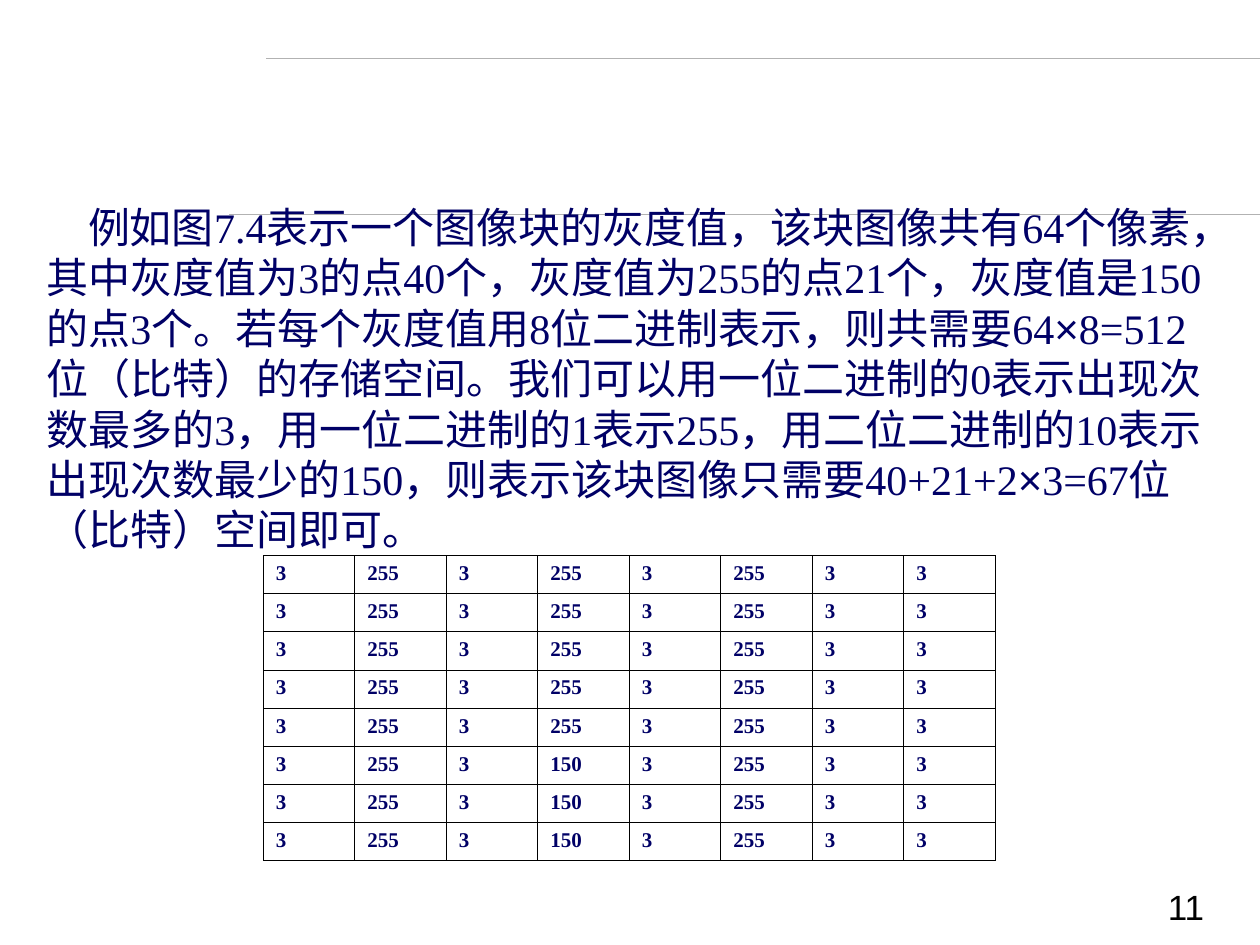
from lxml import etree
from pptx import Presentation
from pptx.dml.color import RGBColor
from pptx.enum.shapes import MSO_CONNECTOR
from pptx.enum.text import MSO_AUTO_SIZE
from pptx.oxml.ns import qn
from pptx.util import Inches, Pt

STRAIGHT = MSO_CONNECTOR.STRAIGHT
GROW = MSO_AUTO_SIZE.SHAPE_TO_FIT_TEXT

NAVY = RGBColor(0x00, 0x00, 0x66)
BLACK = RGBColor(0x00, 0x00, 0x00)
RULE_GREY = RGBColor(0xB2, 0xB2, 0xB2)

SERIF = "Times New Roman"
SANS = "Arial"
TIMES_SIGN = "×"

EXPLANATION = (
    "例如图7.4表示一个图像块的灰度值，该块图像共有64个像素，"
    "其中灰度值为3的点40个，灰度值为255的点21个，灰度值是150的点3个。"
    "若每个灰度值用8位二进制表示，则共需要64×8=512位（比特）的存储空间。"
    "我们可以用一位二进制的0表示出现次数最多的3，用一位二进制的1表示255，"
    "用二位二进制的10表示出现次数最少的150，"
    "则表示该块图像只需要40+21+2×3=67位（比特）空间即可。"
)

UPPER_ROW = [3, 255, 3, 255, 3, 255, 3, 3]
LOWER_ROW = [3, 255, 3, 150, 3, 255, 3, 3]
GREY_VALUES = [UPPER_ROW] * 5 + [LOWER_ROW] * 3


def add_rule(slide, left, top):
    rule = slide.shapes.add_connector(
        STRAIGHT, Inches(10), Inches(top), Inches(left), Inches(top))
    rule.line.color.rgb = RULE_GREY
    rule.line.width = Pt(0.25)
    etree.SubElement(rule._element.spPr, qn("a:effectLst"))


def indent(paragraph, left, first_line):
    properties = paragraph._p.get_or_add_pPr()
    properties.set("marL", str(Inches(left)))
    properties.set("indent", str(Inches(first_line)))


def style(run, size, name, colour, bold=False):
    run.font.size = Pt(size)
    run.font.name = name
    run.font.color.rgb = colour
    run.font.bold = bold


def add_text_box(slide, left, top, width, height):
    box = slide.shapes.add_textbox(
        Inches(left), Inches(top), Inches(width), Inches(height))
    box.text_frame.word_wrap = True
    box.text_frame.auto_size = GROW
    return box.text_frame.paragraphs[0]


def add_explanation(slide):
    paragraph = add_text_box(slide, 0.27, 1.55, 9.45, 2.9)
    indent(paragraph, 0, 0.33)
    for position, passage in enumerate(EXPLANATION.split(TIMES_SIGN)):
        if position:
            sign = paragraph.add_run()
            sign.text = TIMES_SIGN
            style(sign, 24, SANS, NAVY)
        run = paragraph.add_run()
        run.text = passage
        style(run, 24, SERIF, NAVY)


def add_page_number(slide):
    paragraph = add_text_box(slide, 8.94, 6.98, 0.87, 0.44)
    paragraph.text = "11"
    indent(paragraph, 0.23, 0)
    style(paragraph.runs[0], 20, SANS, BLACK)


def add_borders(cell):
    properties = cell._tc.get_or_add_tcPr()
    for position, side in enumerate(("a:lnL", "a:lnR", "a:lnT", "a:lnB")):
        border = etree.Element(qn(side), w=str(Pt(0.45)))
        fill = etree.SubElement(border, qn("a:solidFill"))
        etree.SubElement(fill, qn("a:srgbClr"), val=str(BLACK))
        properties.insert(position, border)


def add_grey_value_table(slide):
    table = slide.shapes.add_table(
        len(GREY_VALUES), len(UPPER_ROW),
        Inches(2.09), Inches(4.41), Inches(5.81), Inches(2.42)).table
    table.first_row = False
    table.horz_banding = False
    for row, values in zip(table.rows, GREY_VALUES):
        for cell, value in zip(row.cells, values):
            cell.text_frame.text = str(value)
            paragraph = cell.text_frame.paragraphs[0]
            indent(paragraph, 0.38, -0.38)
            style(paragraph.runs[0], 12, SERIF, NAVY, bold=True)
            cell.fill.background()
            add_borders(cell)


def main():
    presentation = Presentation()
    presentation.slide_width = Inches(10)
    presentation.slide_height = Inches(7.5)
    slide = presentation.slides.add_slide(presentation.slide_layouts[6])
    add_rule(slide, 1.82, 1.7)
    add_rule(slide, 2.11, 0.46)
    add_page_number(slide)
    add_explanation(slide)
    add_grey_value_table(slide)
    presentation.save("out.pptx")


if __name__ == "__main__":
    main()
